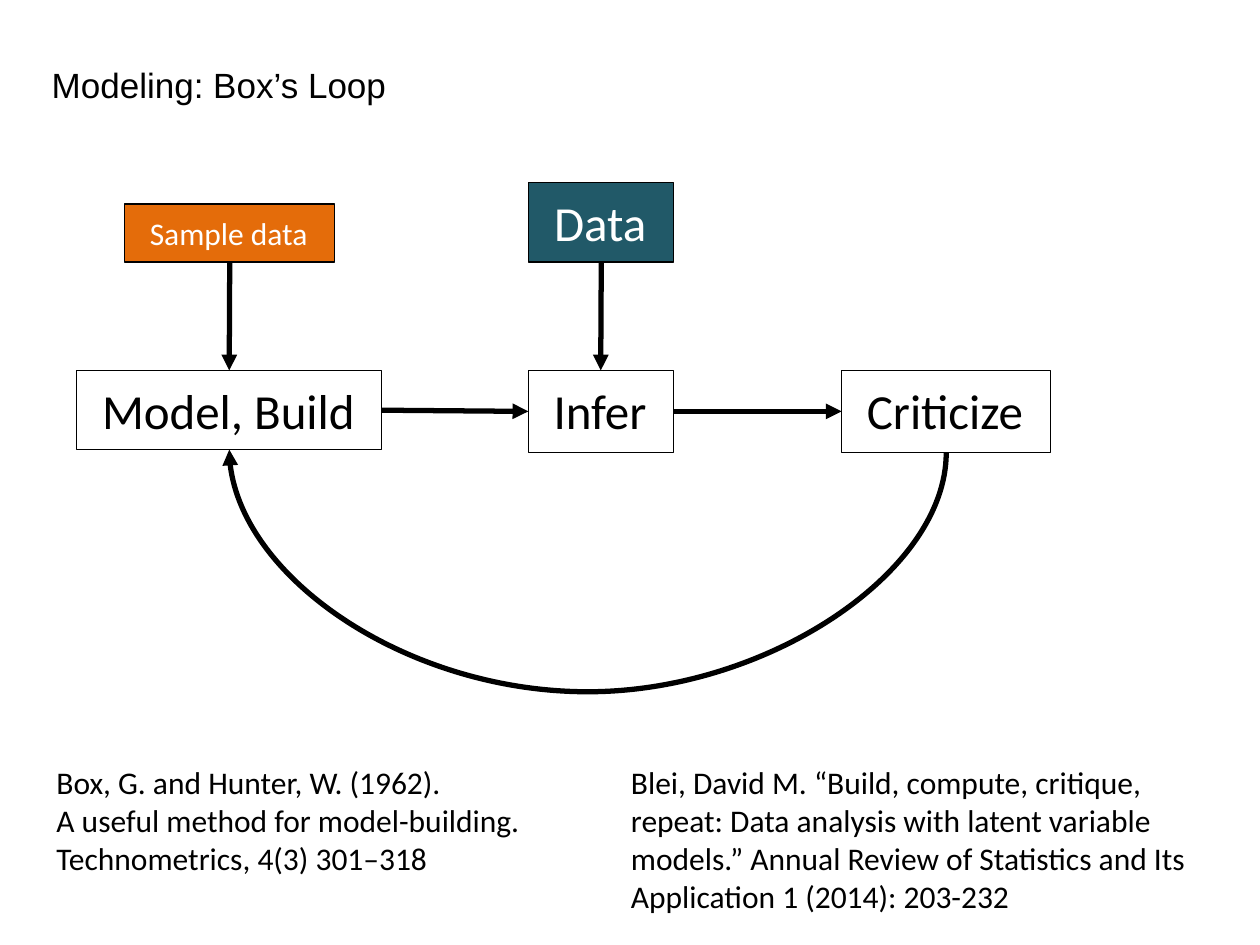
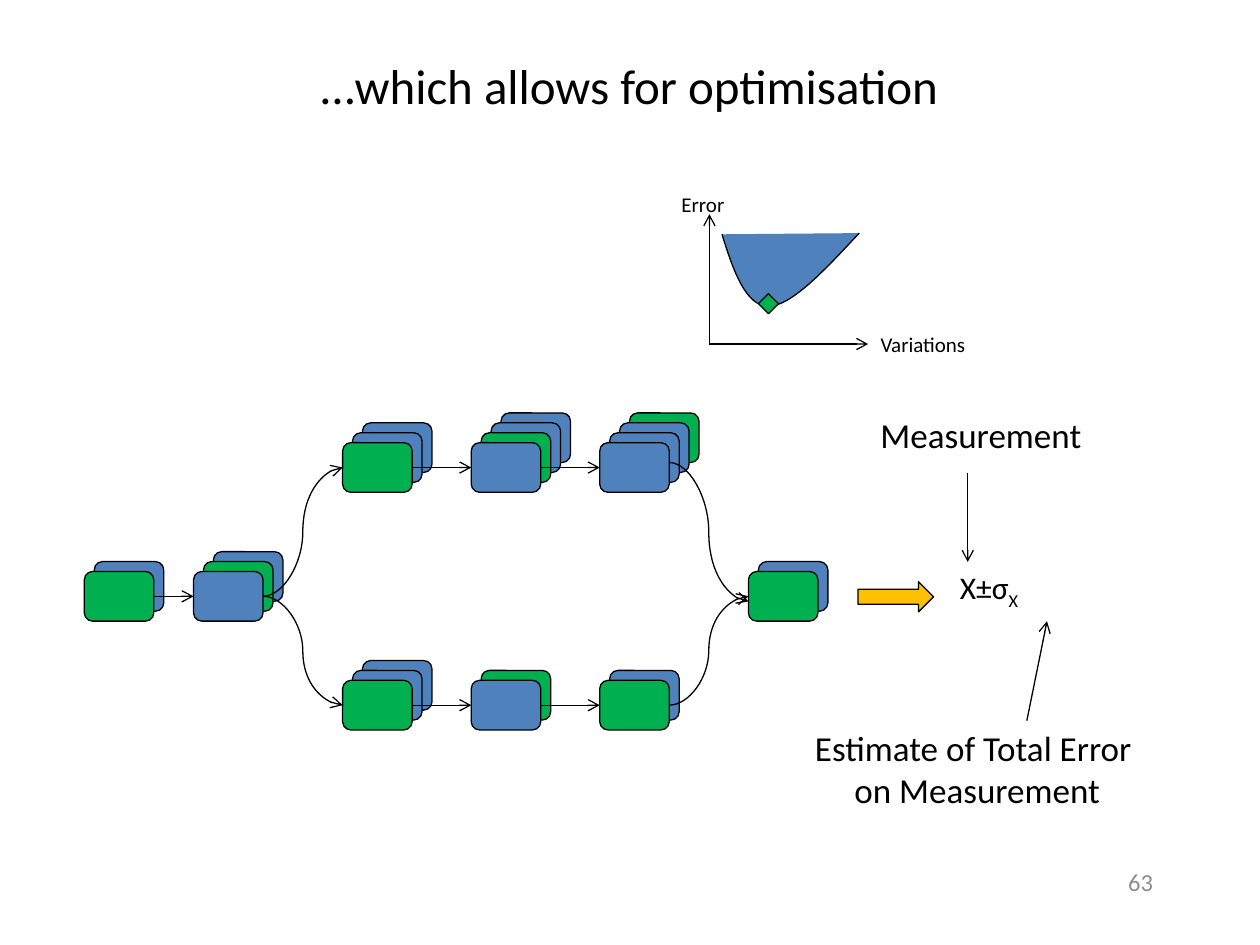
from lxml import etree
from pptx import Presentation
from pptx import util as u
from pptx.dml.color import RGBColor
from pptx.enum import shapes, text
from pptx.oxml import ns

COLOURS = {
    "ink": "000000", "paper": "FFFFFF", "teal": "215968", "orange": "E46C0A",
    "blue": "4F81BD", "green": "00B050", "gold": "FFC000", "grey": "8C8C8C",
}
FRAME = {"word_wrap": True, "auto_size": text.MSO_AUTO_SIZE.NONE,
         "vertical_anchor": text.MSO_ANCHOR.TOP}
GROW = {"auto_size": text.MSO_AUTO_SIZE.SHAPE_TO_FIT_TEXT}
TIGHT = {**GROW, "word_wrap": False}
PADDED = {**TIGHT, "margin_left": u.Pt(14.4), "margin_right": u.Pt(14.4),
          "margin_top": u.Pt(5.76), "margin_bottom": u.Pt(5.76)}
LEFT, CENTRE, RIGHT = text.PP_ALIGN.LEFT, text.PP_ALIGN.CENTER, text.PP_ALIGN.RIGHT
SITES = {"top": 0, "left": 1, "bottom": 2, "right": 3}

CARD_W, CARD_H, CARD_STEP = 39.7, 28.35, 5.67
HALF_CARD = CARD_H / 2
COLUMNS = (195.8, 269.3, 342.7)
UPPER, MIDDLE, LOWER = 253, 326.6, 388.8
CARD_COLOURS = {"B": "blue", "G": "green"}


def points(values):
    return [u.Pt(value) for value in values]


def apply(target, values):
    for name, value in values.items():
        setattr(target, name, value)


def bezier(start, first, second, end, steps=16):
    for step in range(1, steps + 1):
        t = step / steps
        weights = ((1 - t) ** 3, 3 * t * (1 - t) ** 2, 3 * t * t * (1 - t), t ** 3)
        yield tuple(sum(w * p[axis] for w, p in zip(weights, (start, first, second, end)))
                    for axis in (0, 1))


class Deck:
    def __init__(self):
        self.prs = Presentation()
        self.prs.slide_width, self.prs.slide_height = points((720, 540))
        self.slide = None

    def rgb(self, colour):
        return RGBColor.from_string(COLOURS[colour])

    def new_slide(self, title, at, size, font="Calibri", align=CENTRE, **frame):
        self.slide = self.prs.slides.add_slide(self.prs.slide_layouts[5])
        heading = self.slide.shapes.title
        apply(heading, dict(zip(("left", "top", "width", "height"), points(at))))
        self.set_text(heading, [title], size, font=font, align=align, **frame)

    def set_text(self, holder, lines, size, colour="ink", font="Calibri", align=LEFT,
                 **frame):
        body = holder.text_frame
        apply(body, {**FRAME, **frame})
        body.text = "\n".join(lines)
        for paragraph in body.paragraphs:
            paragraph.alignment = align
            for run in paragraph.runs:
                self.style_run(run, size, colour, font)

    def style_run(self, run, size, colour="ink", font="Calibri"):
        apply(run.font, {"size": u.Pt(size), "name": font})
        run.font.color.rgb = self.rgb(colour)

    def label(self, lines, at, size, **style):
        box = self.slide.shapes.add_textbox(*points(at))
        self.set_text(box, lines, size, **style)
        return box

    def outline(self, shape, fill):
        shape.shadow.inherit = False
        if fill:
            shape.fill.solid()
            shape.fill.fore_color.rgb = self.rgb(fill)
        else:
            shape.fill.background()
        shape.line.color.rgb = self.rgb("ink")
        shape.line.width = u.Pt(0.75)
        return shape

    def shape(self, kind, at, fill=None):
        return self.outline(self.slide.shapes.add_shape(kind, *points(at)), fill)

    def box(self, caption, at, size=28, colour="ink", fill=None):
        box = self.shape(shapes.MSO_SHAPE.RECTANGLE, at, fill)
        self.set_text(box, [caption], size, colour, **PADDED)
        return box

    def arrow(self, start, end, width=0.75, head="arrow", curved=False):
        kind = shapes.MSO_CONNECTOR.CURVE if curved else shapes.MSO_CONNECTOR.STRAIGHT
        arrow = self.slide.shapes.add_connector(kind, *points((*start, *end)))
        arrow.line.color.rgb = self.rgb("ink")
        arrow.line.width = u.Pt(width)
        properties = arrow._element.spPr
        etree.SubElement(properties.find(ns.qn("a:ln")), ns.qn("a:tailEnd"), type=head)
        etree.SubElement(properties, ns.qn("a:effectLst"))
        return arrow

    def link(self, source, source_side, target, target_side):
        arrow = self.arrow((0, 0), (0, 0), 3, "triangle")
        arrow.begin_connect(source, SITES[source_side])
        arrow.end_connect(target, SITES[target_side])

    def return_arc(self, centre, span, rise, bulge):
        x, y = centre
        arc = self.arrow((x + rise / 2, y - span / 2), (x - rise / 2, y + span / 2),
                         3, "triangle", curved=True)
        properties = arc._element.spPr
        properties.find(ns.qn("a:xfrm")).set("rot", "5400000")
        guides = properties.find(ns.qn("a:prstGeom")).find(ns.qn("a:avLst"))
        etree.SubElement(guides, ns.qn("a:gd"), name="adj1",
                         fmla=f"val {round(-bulge / rise * 100000)}")

    def stack(self, left, top, cards):
        for depth in reversed(range(len(cards))):
            shift = depth * CARD_STEP
            self.shape(shapes.MSO_SHAPE.ROUNDED_RECTANGLE,
                       (left + shift, top - shift, CARD_W, CARD_H),
                       CARD_COLOURS[cards[depth]])

    def curve(self, start, segments, fill):
        outline, current = [], start
        for segment in segments:
            outline += bezier(current, *segment)
            current = segment[-1]
        builder = self.slide.shapes.build_freeform(*points(start))
        builder.add_line_segments([points(p) for p in outline], close=False)
        self.outline(builder.convert_to_shape(), fill)


def box_loop(deck):
    deck.new_slide("Modeling: Box’s Loop", (22.3, 32.4, 218.9, 31.7), 20,
                   font="Arial", align=LEFT, **TIGHT)
    build = deck.box("Model, Build", (43.9, 211.7, 174.2, 45.4))
    infer = deck.box("Infer", (301.9, 211.7, 82.8, 46.8))
    criticize = deck.box("Criticize", (481, 211.7, 119.5, 46.8))
    data = deck.box("Data", (302.2, 104.4, 82.8, 45.4), colour="paper", fill="teal")
    sample = deck.box("Sample data", (71.2, 116.6, 120.2, 33.1), 18, "paper", "orange")
    for link in ((build, "right", infer, "left"), (infer, "right", criticize, "left"),
                 (data, "bottom", infer, "top"), (sample, "bottom", build, "top")):
        deck.link(*link)
    deck.return_arc((335.9, 257.8), 409.7, 1.73, 136.7)
    deck.label(["Blei, David M. “Build, compute, critique, repeat: Data analysis with "
                "latent variable models.” Annual Review of Statistics and Its "
                "Application 1 (2014): 203-232"], (353.5, 432.7, 338.4, 94.3), 18, **GROW)
    deck.label(["Box, G. and Hunter, W. (1962). \vA useful method for model-building. "
                "Technometrics, 4(3) 301–318"], (25.2, 432.7, 300.2, 72.7), 18, **GROW)


def workflow(deck):
    first, second, last = 48.2, 110.6, 427.7
    for left, cards in ((first, "GB"), (second, "BGB"), (last, "GB")):
        deck.stack(left, MIDDLE, cards)
    deck.arrow((first + CARD_W, MIDDLE + HALF_CARD), (second, MIDDLE + HALF_CARD))
    for top, row in ((UPPER, ("GBB", "BGBB", "BBBG")), (LOWER, ("GBB", "BG", "GB"))):
        centre = top + HALF_CARD
        for left, cards in zip(COLUMNS, row):
            deck.stack(left, top, cards)
        for left, following in zip(COLUMNS, COLUMNS[1:]):
            deck.arrow((left + CARD_W, centre), (following, centre))
        nudge = 2.9 if top == UPPER else 0
        deck.arrow((second + CARD_W, MIDDLE + HALF_CARD), (COLUMNS[0], centre), curved=True)
        deck.arrow((COLUMNS[-1] + CARD_W, centre - nudge),
                   (last, MIDDLE + HALF_CARD + nudge), curved=True)


def error_plot(deck):
    origin = (405.4, 196.6)
    deck.arrow(origin, (496.1, 196.6))
    deck.arrow(origin, (405.4, 122.4))
    deck.label(["Variations"], (496.1, 185.8, 67, 21.6), 12, **TIGHT)
    deck.label(["Error"], (382.3, 105.8, 41.8, 21.6), 12, **TIGHT)
    deck.curve((412.6, 133.9), [((419, 154.8), (426.2, 175), (439.2, 175)),
                                ((452.2, 175), (471.6, 154.1), (491, 133.2))], "blue")
    deck.shape(shapes.MSO_SHAPE.DIAMOND, (433.4, 167.8, 11.5, 11.5), "green")


def measurement(deck):
    deck.shape(shapes.MSO_SHAPE.RIGHT_ARROW, (490.3, 332.4, 43.2, 17.3), "gold")
    result = deck.label(["X±σ"], (541.4, 321.1, 80.6, 36), 18, **TIGHT)
    subscript = result.text_frame.paragraphs[0].add_run()
    subscript.text = "X"
    deck.style_run(subscript, 18)
    subscript.font._element.set("baseline", "-25000")
    deck.label(["Measurement"], (490.3, 232.6, 140.4, 31.7), 20, align=CENTRE, **GROW)
    deck.label(["Estimate of Total Error ", "on Measurement"],
               (445, 411.8, 226.8, 55.4), 20, align=CENTRE, **GROW)
    deck.arrow((553, 270), (553, 321.1))
    deck.arrow((586.8, 411.8), (598.3, 355))


def optimisation(deck):
    deck.new_slide("…which allows for optimisation", (25.2, 3.6, 668.9, 90), 28,
                   vertical_anchor=text.MSO_ANCHOR.MIDDLE)
    deck.label(["63"], (516.2, 491.8, 149.8, 36), 14, colour="grey", align=RIGHT)
    workflow(deck)
    measurement(deck)
    error_plot(deck)


def main():
    deck = Deck()
    box_loop(deck)
    optimisation(deck)
    deck.prs.save("out.pptx")


if __name__ == "__main__":
    main()
